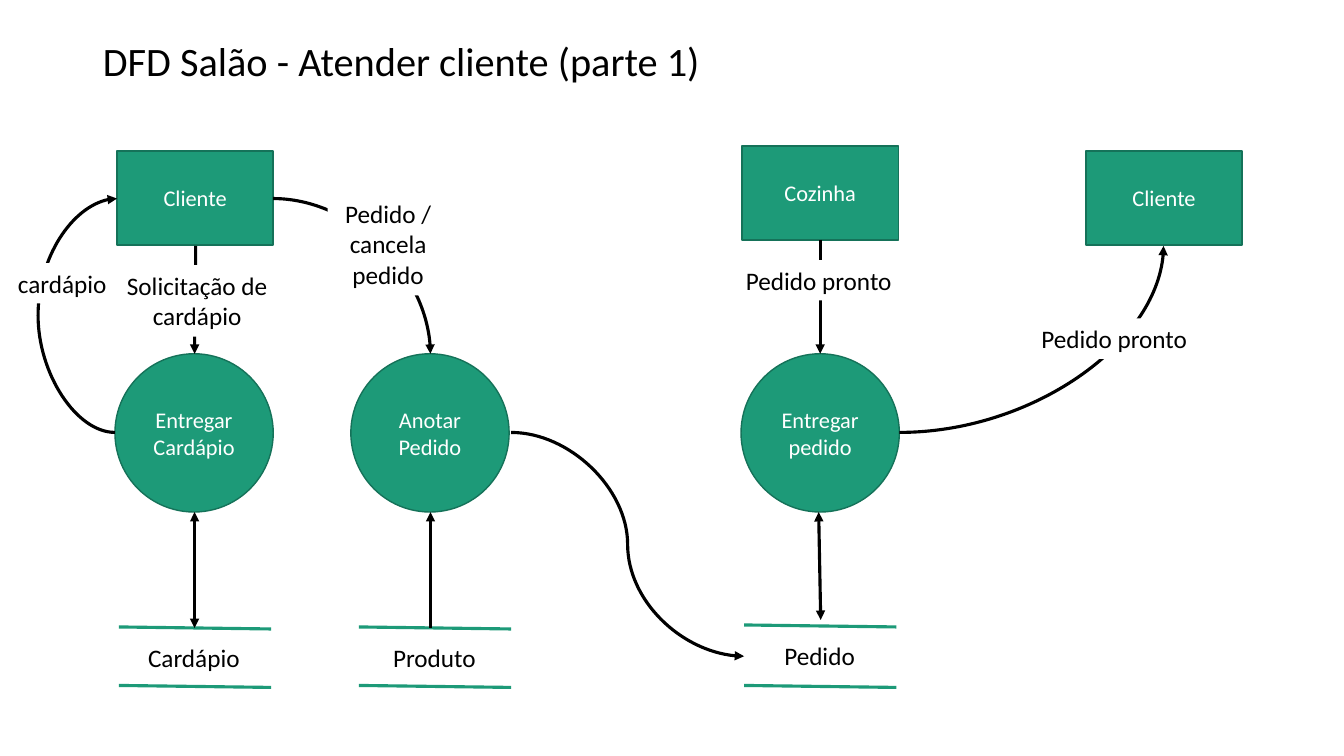
from lxml.etree import SubElement
from pptx import Presentation
from pptx.dml.color import RGBColor
from pptx.enum.shapes import MSO_CONNECTOR as Link, MSO_SHAPE as Form
from pptx.enum.text import MSO_ANCHOR as Anchor, MSO_AUTO_SIZE as Fit, PP_ALIGN as Align
from pptx.oxml.ns import qn
from pptx.util import Inches, Pt

GREEN = RGBColor(0x1D, 0x9A, 0x78)
EDGE = RGBColor(0x15, 0x72, 0x59)
BLACK = RGBColor(0, 0, 0)
WHITE = RGBColor(255, 255, 255)


class Board:
    font = "Calibri"
    stroke = 2.25
    frame = {"word_wrap": True, "auto_size": Fit.NONE, "vertical_anchor": Anchor.MIDDLE}
    grow = {"auto_size": Fit.SHAPE_TO_FIT_TEXT, "vertical_anchor": Anchor.TOP}

    def __init__(self, deck):
        self.slide = deck.slides.add_slide(deck.slide_layouts[5])

    def letter(self, shape, text, size, color, align=Align.CENTER, **frame):
        """Fill a shape with formatted text and return its paragraph."""
        box = shape.text_frame
        box.text = text
        for name, value in {**self.frame, **frame}.items():
            setattr(box, name, value)
        para = box.paragraphs[0]
        para.alignment = align
        font = para.runs[0].font
        for name, value in {"name": self.font, "size": Pt(size)}.items():
            setattr(font, name, value)
        font.color.rgb = color
        return para

    def title(self, text, *area):
        shape = self.slide.shapes.title
        for name, value in zip(("left", "top", "width", "height"), area):
            setattr(shape, name, Inches(value))
        self.letter(shape, text, 28.8, BLACK, Align.LEFT).line_spacing = 0.9

    def shape(self, form, area, fill):
        shape = self.slide.shapes.add_shape(form, *map(Inches, area))
        shape.shadow.inherit = False
        shape.fill.solid()
        shape.fill.fore_color.rgb = fill
        return shape

    def node(self, form, text, *area):
        shape = self.shape(form, area, GREEN)
        shape.line.color.rgb = EDGE
        shape.line.width = Pt(1)
        self.letter(shape, text, 16, WHITE)
        return shape

    def label(self, text, *area, align=Align.CENTER):
        shape = self.shape(Form.RECTANGLE, area, WHITE)
        shape.line.fill.background()
        self.letter(shape, text, 18, BLACK, align, **self.grow)

    def line(self, *ends, color=BLACK, kind=Link.STRAIGHT, heads=(), home=None):
        shapes = (home or self.slide).shapes
        line = shapes.add_connector(kind, *map(Inches, ends))
        line.line.color.rgb = color
        line.line.width = Pt(self.stroke)
        props = line._element.spPr
        for head in heads:
            SubElement(props.find(qn("a:ln")), qn(f"a:{head}"), type="triangle")
        SubElement(props, qn("a:effectLst"))
        return line

    def curve(self, *ends, preset="curvedConnector3", adj=None, turn=0):
        """Draw a curved arrow; adj is the bend in widths, turn is in degrees."""
        line = self.line(*ends, kind=Link.CURVE, heads=["tailEnd"])
        props = line._element.spPr
        geom = props.find(qn("a:prstGeom"))
        geom.set("prst", preset)
        if adj is not None:
            SubElement(geom.find(qn("a:avLst")), qn("a:gd"), name="adj1",
                       fmla=f"val {adj * 100000}")
        if turn:
            props.find(qn("a:xfrm")).set("rot", str(turn * 60000))

    def store(self, text, left, top, inset, width):
        """Draw a data store: a name between two rules."""
        group = self.slide.shapes.add_group_shape()
        for y in (6.8, top):
            self.line(left, y, left + 1.51, y + 0.02, color=GREEN, home=group)
        area = (left + inset, top + 0.1, width, 0.4)
        box = group.shapes.add_textbox(*map(Inches, area))
        self.letter(box, text, 18, BLACK, Align.LEFT, **{**self.grow, "word_wrap": False})


def main():
    deck = Presentation()
    deck.slide_width, deck.slide_height = Inches(13.33), Inches(7.5)
    board = Board(deck)
    board.title("DFD Salão - Atender cliente (parte 1)", 0.92, 0.4, 11.5, 0.46)

    actors = [
        board.node(Form.RECTANGLE, text, x, y, 1.55, 0.93)
        for text, x, y in (("Cliente", 1.16, 1.5), ("Cozinha", 7.36, 1.45),
                           ("Cliente", 10.77, 1.5))
    ]
    tasks = [
        board.node(Form.OVAL, text, x, 3.51, 1.57, 1.57)
        for text, x in (("Entregar Cardápio", 1.14), ("Anotar Pedido", 3.48),
                        ("Entregar pedido", 7.35))
    ]
    for store in (("Cardápio", 1.18, 6.22, 0.19, 1.12),
                  ("Produto", 3.56, 6.22, 0.24, 1.03),
                  ("Pedido", 7.38, 6.2, 0.3, 0.91)):
        board.store(*store)

    board.curve(1.14, 4.29, 1.16, 1.97, adj=-38)
    board.curve(1.4, 2.97, 2.47, 2.98, turn=90)
    board.curve(2.71, 1.97, 4.27, 3.51, preset="curvedConnector2")
    both = ("headEnd", "tailEnd")
    board.line(1.93, 5.08, 1.93, 6.23, heads=both)
    board.line(4.27, 6.23, 4.27, 5.08, heads=["tailEnd"])
    board.line(8.12, 5.08, 8.14, 6.15, heads=both)
    board.curve(8.92, 4.29, 11.54, 2.44, preset="curvedConnector2")
    ready = board.line(8.14, 2.38, 8.14, 3.51, heads=["tailEnd"])
    ready.begin_connect(actors[1], 2)
    ready.end_connect(tasks[2], 0)

    board.label("cardápio", 0.08, 2.61, 1.19, 0.4, align=Align.LEFT)
    board.label("Solicitação de cardápio", 1.14, 2.63, 1.63, 0.71)
    board.label("Pedido / cancela pedido", 3.25, 1.92, 1.2, 1.01)
    for x, y in ((7.3, 2.58), (10.23, 3.16)):
        board.label("Pedido pronto", x, y, 1.66, 0.4, align=Align.LEFT)
    board.curve(5.07, 4.29, 7.38, 6.51)

    deck.save("out.pptx")


if __name__ == "__main__":
    main()
